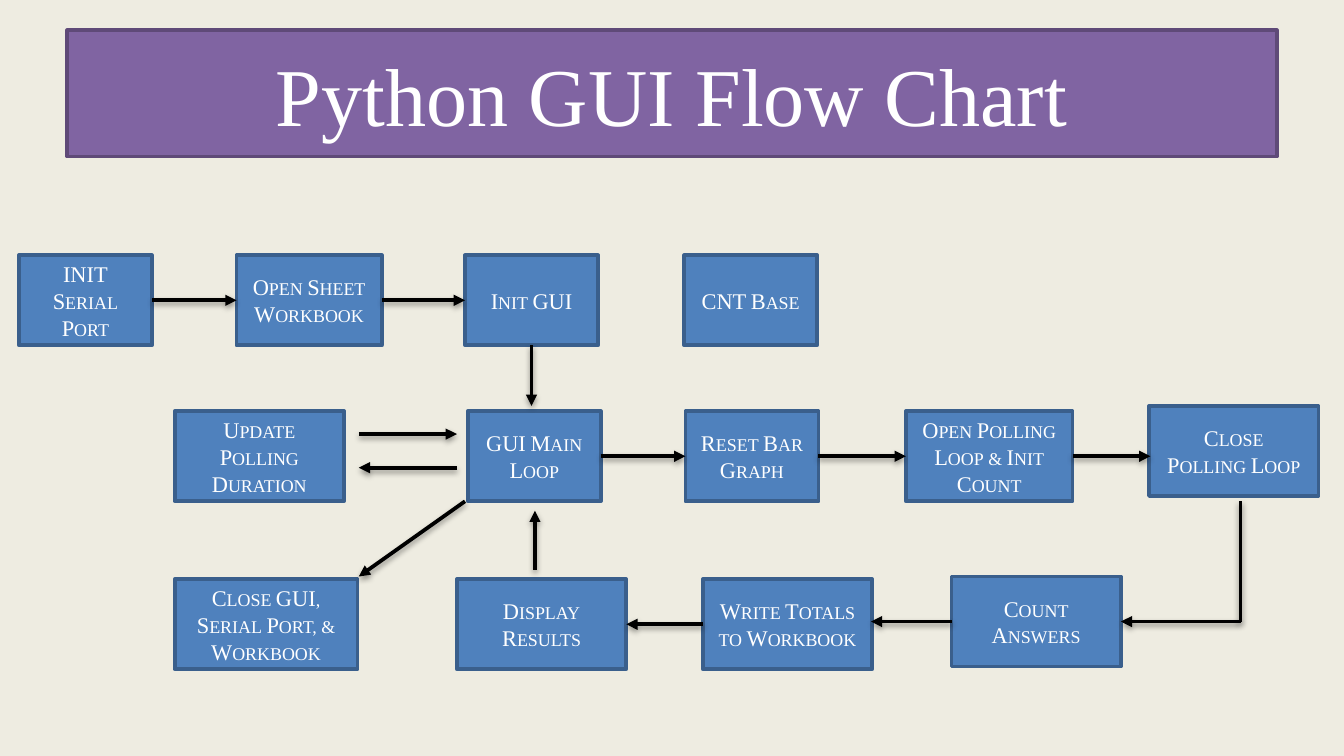
from dataclasses import dataclass

from lxml.etree import SubElement
from pptx import Presentation
from pptx.dml.color import RGBColor
from pptx.enum.shapes import MSO_CONNECTOR, MSO_SHAPE
from pptx.enum.text import MSO_ANCHOR, PP_ALIGN
from pptx.oxml.ns import qn
from pptx.util import Inches, Pt


@dataclass(frozen=True)
class Theme:
    background: str = "EEECE1"
    title_fill: str = "8064A2"
    title_line: str = "5F4A78"
    step_fill: str = "4F81BD"
    step_line: str = "3A5F8C"
    text: str = "FFFFFF"
    arrow: str = "000000"
    font: str = "Times New Roman"
    title_size: int = 44
    step_size: int = 12
    line_width: int = 2


THEME = Theme()
GRID_COLUMNS = 100
SLIDE_WIDTH = Inches(10)
SLIDE_HEIGHT = SLIDE_WIDTH * 9 // 16
LEFT, BOTTOM, RIGHT = 1, 2, 3
STEP_HEIGHT = 6.7
SETUP_ROW, LOOP_ROW, FINISH_ROW = 19, 30.6, 43.1
NARROW, WIDE = 9.9, 12.6

STEPS = {
    "INIT Serial Port": (1.4, SETUP_ROW, NARROW),
    "Open Sheet Workbook": (17.6, SETUP_ROW, 10.8),
    "Init GUI": (34.6, SETUP_ROW, NARROW),
    "CNT Base": (50.9, SETUP_ROW, NARROW),
    "Update Polling Duration": (13, LOOP_ROW, WIDE),
    "GUI Main Loop": (34.8, LOOP_ROW, NARROW),
    "Reset Bar Graph": (51, LOOP_ROW, NARROW),
    "Open Polling Loop & Init Count": (67.4, LOOP_ROW, 12.4),
    "Close Polling Loop": (85.5, LOOP_ROW - 0.4, WIDE),
    "Close GUI, Serial Port, & Workbook": (13, FINISH_ROW, 13.6),
    "Display Results": (34, FINISH_ROW, WIDE),
    "Write Totals to Workbook": (52.3, FINISH_ROW, WIDE),
    "Count Answers": (70.8, FINISH_ROW - 0.2, WIDE),
}

LOOP_MIDDLE = LOOP_ROW + STEP_HEIGHT / 2
COUNT_MIDDLE = FINISH_ROW - 0.2 + STEP_HEIGHT / 2
TURN = (92.3, COUNT_MIDDLE)
ARROWS = [
    (("INIT Serial Port", RIGHT), ("Open Sheet Workbook", LEFT)),
    (("Open Sheet Workbook", RIGHT), ("Init GUI", LEFT)),
    (("Init GUI", BOTTOM), (39.55, 30.2)),
    (("GUI Main Loop", RIGHT), ("Reset Bar Graph", LEFT)),
    (("Reset Bar Graph", RIGHT), ("Open Polling Loop & Init Count", LEFT)),
    (("Open Polling Loop & Init Count", RIGHT), (85.6, LOOP_MIDDLE)),
    (TURN, ("Count Answers", RIGHT)),
    (("Count Answers", LEFT), (64.8, COUNT_MIDDLE)),
    (("Write Totals to Workbook", LEFT), ("Display Results", RIGHT)),
    ((39.8, 42.4), (39.8, 38)),
    ((26.7, 32.3), (34, 32.3)),
    ((34, 34.8), (26.7, 34.8)),
    ((34.6, 37.3), (26.7, 42.9)),
]


def cells(count):
    return round(SLIDE_WIDTH / GRID_COLUMNS * count)


def color(value):
    return RGBColor.from_string(value)


def set_all(target, values):
    for name, value in values.items():
        setattr(target, name, value)


def add_box(page, kind, place, text, fill, line, size):
    box = page.shapes.add_shape(kind, *map(cells, place))
    box.shadow.inherit = False
    box.fill.solid()
    box.fill.fore_color.rgb = color(fill)
    box.line.color.rgb = color(line)
    box.line.width = Pt(THEME.line_width)
    set_all(box.text_frame, {"word_wrap": True, "vertical_anchor": MSO_ANCHOR.MIDDLE})
    para = box.text_frame.paragraphs[0]
    para.alignment = PP_ALIGN.CENTER
    span = para.add_run()
    span.text = text
    set_all(span.font, {"name": THEME.font, "size": Pt(size)})
    span.font.color.rgb = color(THEME.text)
    return box, span


def add_title(page):
    add_box(page, MSO_SHAPE.RECTANGLE, (5, 2.25, 90, 9.4), "Python GUI Flow Chart",
            THEME.title_fill, THEME.title_line, THEME.title_size)


def add_step(page, text, left, top, width):
    box, span = add_box(page, MSO_SHAPE.FLOWCHART_PROCESS,
                        (left, top, width, STEP_HEIGHT), text,
                        THEME.step_fill, THEME.step_line, THEME.step_size)
    span._r.get_or_add_rPr().set("cap", "small")
    return box


def add_shadow(connector):
    effects = SubElement(connector._element.spPr, qn("a:effectLst"))
    shadow = SubElement(effects, qn("a:outerShdw"), blurRad=str(Pt(3.1)),
                        dist=str(Pt(1.6)), dir="5400000", rotWithShape="0")
    tint = SubElement(shadow, qn("a:srgbClr"), val=THEME.arrow)
    SubElement(tint, qn("a:alpha"), val="38000")


def add_line(page, boxes, start, end, arrowhead=True):
    points = [(0, 0) if point[0] in boxes else tuple(map(cells, point))
              for point in (start, end)]
    connector = page.shapes.add_connector(MSO_CONNECTOR.STRAIGHT, *points[0], *points[1])
    for point, join in ((start, connector.begin_connect), (end, connector.end_connect)):
        if point[0] in boxes:
            join(boxes[point[0]], point[1])
    connector.line.color.rgb = color(THEME.arrow)
    connector.line.width = Pt(THEME.line_width)
    if arrowhead:
        SubElement(connector.line._get_or_add_ln(), qn("a:tailEnd"), type="triangle")
    add_shadow(connector)


def main():
    deck = Presentation()
    set_all(deck, {"slide_width": SLIDE_WIDTH, "slide_height": SLIDE_HEIGHT})
    page = deck.slides.add_slide(deck.slide_layouts[6])
    page.background.fill.solid()
    page.background.fill.fore_color.rgb = color(THEME.background)
    add_title(page)
    boxes = {text: add_step(page, text, *place) for text, place in STEPS.items()}
    for start, end in ARROWS:
        add_line(page, boxes, start, end)
    add_line(page, boxes, (TURN[0], 37.3), TURN, arrowhead=False)
    deck.save("out.pptx")


if __name__ == "__main__":
    main()
